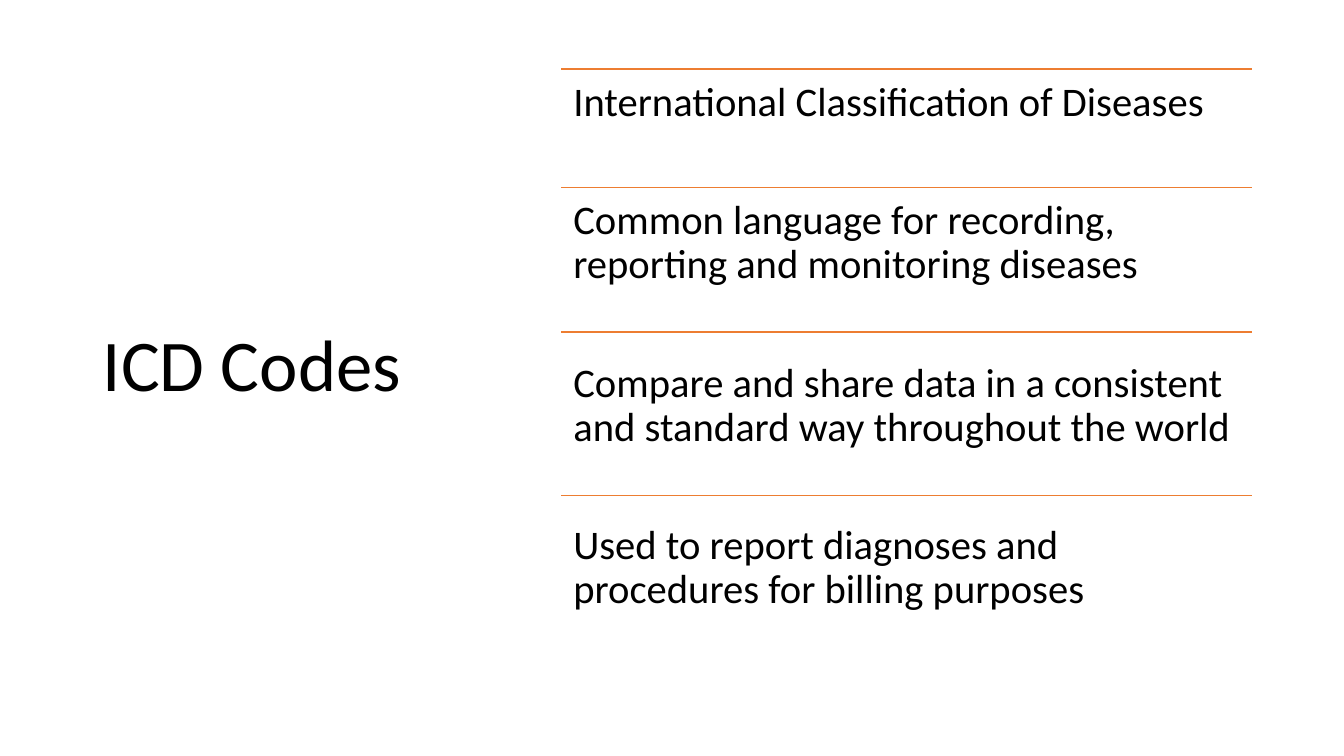
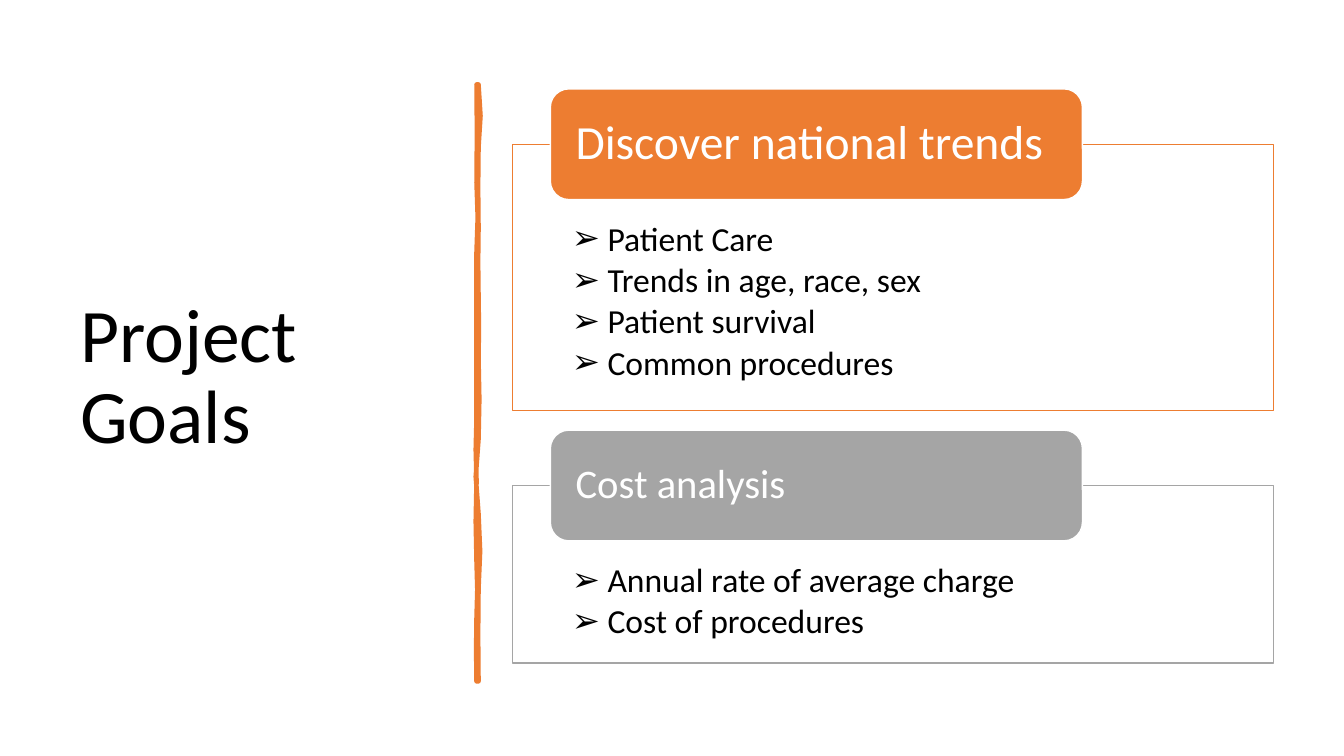
from lxml.etree import SubElement
from pptx import Presentation
from pptx.dml.color import RGBColor
from pptx.enum.shapes import MSO_CONNECTOR, MSO_SHAPE
from pptx.enum.text import MSO_ANCHOR, MSO_AUTO_SIZE, PP_ALIGN
from pptx.oxml.ns import qn
from pptx.util import Cm, Pt

COLOURS = {
    "text": "000000",
    "white": "FFFFFF",
    "orange": "ED7D31",
    "grey": "A5A5A5",
}
FONT = "Calibri"


def write(box, lines, size, colour, anchor, insets, after=0):
    frame = box.text_frame
    frame.word_wrap = True
    frame.auto_size = MSO_AUTO_SIZE.NONE
    frame.vertical_anchor = anchor
    frame.margin_left = frame.margin_right = Cm(insets[0])
    frame.margin_top, frame.margin_bottom = Cm(insets[1]), Cm(insets[2])
    for index, line in enumerate(lines):
        para = frame.add_paragraph() if index else frame.paragraphs[0]
        para.alignment = PP_ALIGN.LEFT
        para.line_spacing = 0.9
        para.space_before, para.space_after = Pt(0), Pt(after)
        span = para.add_run()
        span.text = line
        span.font.name, span.font.size = FONT, Pt(size)
        span.font.color.rgb = RGBColor.from_string(COLOURS[colour])


def add_page(layout, title, size, left, top, width, height):
    page = deck.slides.add_slide(deck.slide_layouts.get_by_name(layout))
    box = page.shapes.title
    box.left, box.top, box.width, box.height = Cm(left), Cm(top), Cm(width), Cm(height)
    write(box, [title], size, "text", MSO_ANCHOR.MIDDLE, (0.25, 0.13, 0.13))
    return page


deck = Presentation()
deck.slide_width, deck.slide_height = Cm(33.87), Cm(19.05)
orange = RGBColor.from_string(COLOURS["orange"])
white = RGBColor.from_string(COLOURS["white"])

page = add_page("Title Only", "ICD Codes", 52, 2.34, 1.53, 9.37, 15.47)
facts = [
    (1.74, 1.75, 3, "International Classification of Diseases"),
    (4.73, 4.73, 4.09, "Common language for recording, reporting and monitoring diseases"),
    (8.37, 8.83, 4.09, "Compare and share data in a consistent and standard way throughout the world"),
    (12.49, 12.92, 4.09, "Used to report diagnoses and procedures for billing purposes"),
]
left, width = 14.15, 17.4
for rule_top, text_top, height, fact in facts:
    rule = page.shapes.add_connector(
        MSO_CONNECTOR.STRAIGHT, Cm(left), Cm(rule_top), Cm(left + width), Cm(rule_top)
    )
    rule.line.color.rgb, rule.line.width = orange, Pt(1)
    SubElement(rule.element.spPr, qn("a:effectLst"))
    box = page.shapes.add_textbox(Cm(left), Cm(text_top), Cm(width), Cm(height))
    write(box, [fact], 29, "text", MSO_ANCHOR.TOP, (0.3, 0.3, 0.3), 10)

page = add_page("Two Content", "Project Goals", 54, 1.77, 1.78, 9.5, 15.52)

stroke_top = 2.13
right_side = [
    (0.05, 3.71), (-0.01, 5.74), (-0.01, 7.47), (0.01, 9.04),
    (0.02, 11.07), (-0.07, 12.95), (0.04, 14.83), (-0.01, 17.17),
]
left_side = [
    (-0.01, 15.57), (0.02, 14.15), (-0.02, 12.12), (-0.02, 10.54),
    (0, 8.51), (0, 6.35), (0.03, 4.6), (0.01, stroke_top),
]
points = []
y = stroke_top
for edge, bends in ((12.06, right_side), (12.01, left_side)):
    points.append((edge, y))
    for bulge, end in bends:
        points += [(edge + bulge, (y + end) / 2), (edge, end)]
        y = end
points = [(round(x * 100), round(y * 100)) for x, y in points]
builder = page.shapes.build_freeform(*points[0], scale=Cm(0.01))
builder.add_line_segments(points[1:], close=True)
brush = builder.convert_to_shape()
brush.shadow.inherit = False
brush.fill.solid()
brush.fill.fore_color.rgb = orange
brush.line.color.rgb, brush.line.width = orange, Pt(3.25)

goals = [
    ("Discover national trends", 34, "orange", 3.64, 6.71,
     ["Patient Care", "Trends in age, race, sex", "Patient survival", "Common procedures"]),
    ("Cost analysis", 29, "grey", 12.24, 4.47,
     ["Annual rate of average charge", "Cost of procedures"]),
]
for index, (heading, size, colour, top, height, items) in enumerate(goals, 1):
    accent = RGBColor.from_string(COLOURS[colour])
    panel = page.placeholders[index]
    panel.left, panel.top, panel.width, panel.height = Cm(12.91), Cm(top), Cm(19.18), Cm(height)
    panel.fill.solid()
    panel.fill.fore_color.rgb = white
    panel.line.color.rgb, panel.line.width = accent, Pt(1)
    write(panel, items, 24, "text", MSO_ANCHOR.TOP, (1.5, 1.96, 0.48), 3.6)
    for para in panel.text_frame.paragraphs:
        settings = para._p.get_or_add_pPr()
        settings.set("marL", str(Cm(0.9)))
        settings.set("indent", str(Cm(-0.9)))
        SubElement(settings, qn("a:buChar"), char="➢")

    label = page.shapes.add_shape(
        MSO_SHAPE.ROUNDED_RECTANGLE, Cm(13.87), Cm(top - 1.4), Cm(13.41), Cm(2.79)
    )
    label.shadow.inherit = False
    label.fill.solid()
    label.fill.fore_color.rgb = accent
    label.line.color.rgb, label.line.width = white, Pt(1)
    write(label, [heading], size, "white", MSO_ANCHOR.MIDDLE, (0.5, 0, 0))

deck.save("out.pptx")
